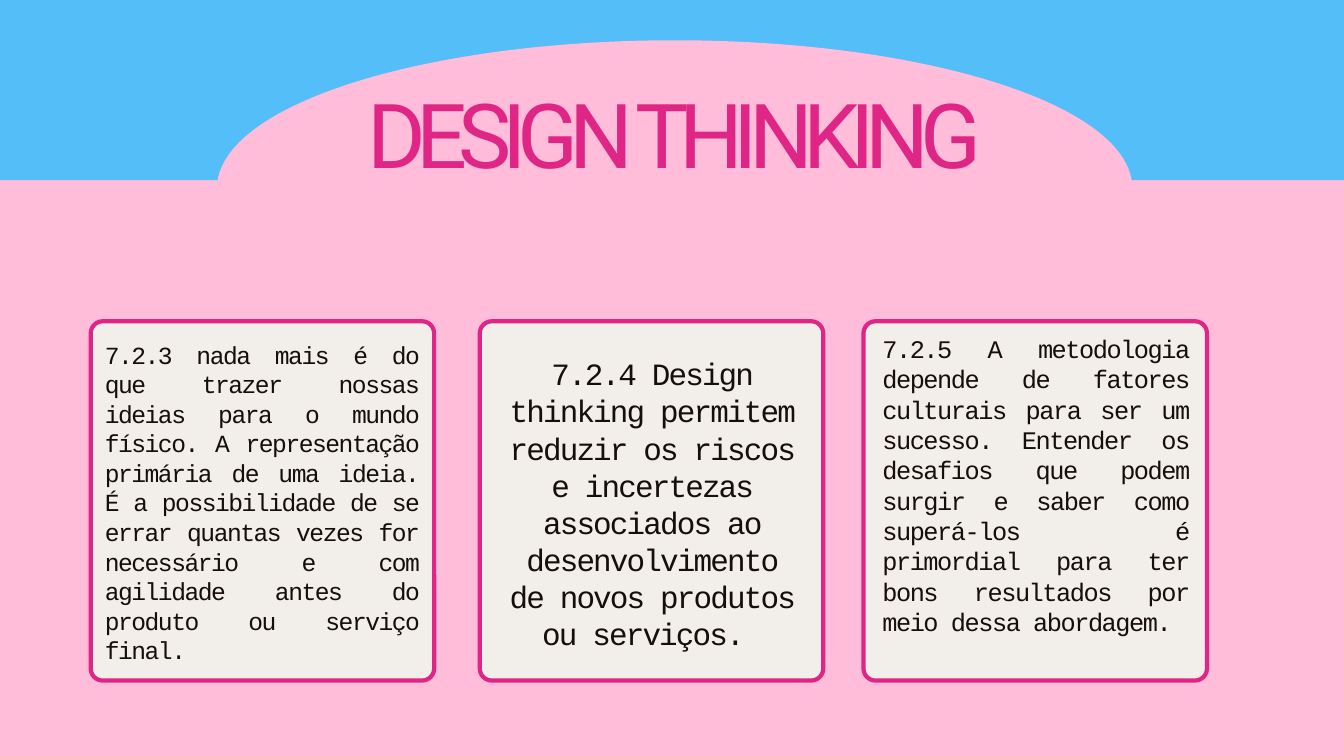
"""Build the Design Thinking slide with three text cards."""
from pptx import Presentation
from pptx.dml.color import RGBColor
from pptx.enum.shapes import MSO_SHAPE
from pptx.enum.text import MSO_ANCHOR, MSO_AUTO_SIZE, PP_ALIGN
from pptx.util import Pt

RECT, OVAL, ROUND = MSO_SHAPE.RECTANGLE, MSO_SHAPE.OVAL, MSO_SHAPE.ROUNDED_RECTANGLE
MID, FULL = PP_ALIGN.CENTER, PP_ALIGN.JUSTIFY
TOP, FIXED = MSO_ANCHOR.TOP, MSO_AUTO_SIZE.NONE
WIDE, HIGH = 1440, 810
HUES = {"sky": "54BEF9", "pink": "FFBDD9", "rose": "DF2687", "cream": "F2EFEB", "ink": "160E0C"}
HEAD = (0, 0, WIDE, 193)
CARD = (368, 385)
CARD_TOP = 344.2
CARDS = [
    (97.2, (15.1, 19.4, 336.3, 346.3), FULL, 26.4, 31.7, -1.6,
     "7.2.3 nada mais é do que trazer nossas ideias para o mundo físico. "
     "A representação primária de uma ideia. É a possibilidade de se errar quantas vezes "
     "for necessário e com agilidade antes do produto ou serviço final."),
    (514.1, (26.6, 36, 315.4, 313.2), MID, 33.2, 39.8, -2,
     "7.2.4 Design thinking permitem reduzir os riscos e incertezas associados ao "
     "desenvolvimento de novos produtos ou serviços. "),
    (925.2, (20.2, 12.9, 328.3, 319), FULL, 27.1, 32.5, -1.6,
     "7.2.5 A metodologia depende de fatores culturais para ser um sucesso. "
     "Entender os desafios que podem surgir e saber como superá-los é primordial "
     "para ter bons resultados por meio dessa abordagem."),
]


def tint(name):
    """Return the named colour."""
    return RGBColor.from_string(HUES[name])


def draw(slide, kind, box, fill, line=None):
    """Draw a flat shape with an optional outline."""
    shape = slide.shapes.add_shape(kind, *map(Pt, box))
    shape.shadow.inherit = False
    shape.fill.solid()
    shape.fill.fore_color.rgb = tint(fill)
    if line:
        shape.line.color.rgb = tint(line)
        shape.line.width = Pt(4.5)
    else:
        shape.line.fill.background()
    return shape


def write(shape, text, face, size, hue, align, lead, track):
    """Fill a text shape with one tracked paragraph."""
    frame = shape.text_frame
    frame.word_wrap = True
    frame.auto_size = FIXED
    frame.vertical_anchor = TOP
    frame.margin_left = frame.margin_right = frame.margin_top = frame.margin_bottom = 0
    para = frame.paragraphs[0]
    para.alignment = align
    para.line_spacing = Pt(lead)
    para.space_before = Pt(0)
    run = para.add_run()
    run.text = text
    run.font.name = face
    run.font.size = Pt(size)
    run.font.color.rgb = tint(hue)
    run.font._element.set("spc", str(round(track * 100)))


def header(slide, box):
    """Place the sky band, the dome and the title."""
    left, top, wide, high = box
    draw(slide, RECT, box, "sky")
    draw(slide, OVAL, (left + 234.7, top + 45.4, 976.3, 312.5), "pink", "pink")
    title = slide.shapes.title
    title.left, title.top = Pt(left + 115.9), Pt(top + 67)
    title.width, title.height = Pt(1213.2), Pt(142.6)
    write(title, "DESIGN THINKING", "Roboto", 96, "rose", MID, 132.5, -9.9)
    slide.shapes._spTree.append(title._element)


def card(slide, box, inset, align, size, lead, track, text):
    """Place a rounded card with its text inset from the corner."""
    left, top, wide, high = box
    shape = draw(slide, ROUND, box, "cream", "rose")
    shape.adjustments[0] = 0.035
    dx, dy, span, tall = inset
    note = slide.shapes.add_textbox(Pt(left + dx), Pt(top + dy), Pt(span), Pt(tall))
    write(note, text, "Courier New", size, "ink", align, lead, track)


def main():
    """Build and save the deck."""
    deck = Presentation()
    deck.slide_width, deck.slide_height = Pt(WIDE), Pt(HIGH)
    slide = deck.slides.add_slide(deck.slide_layouts[5])
    slide.background.fill.solid()
    slide.background.fill.fore_color.rgb = tint("pink")
    header(slide, HEAD)
    for left, *rest in CARDS:
        card(slide, (left, CARD_TOP, *CARD), *rest)
    deck.save("out.pptx")


if __name__ == "__main__":
    main()
